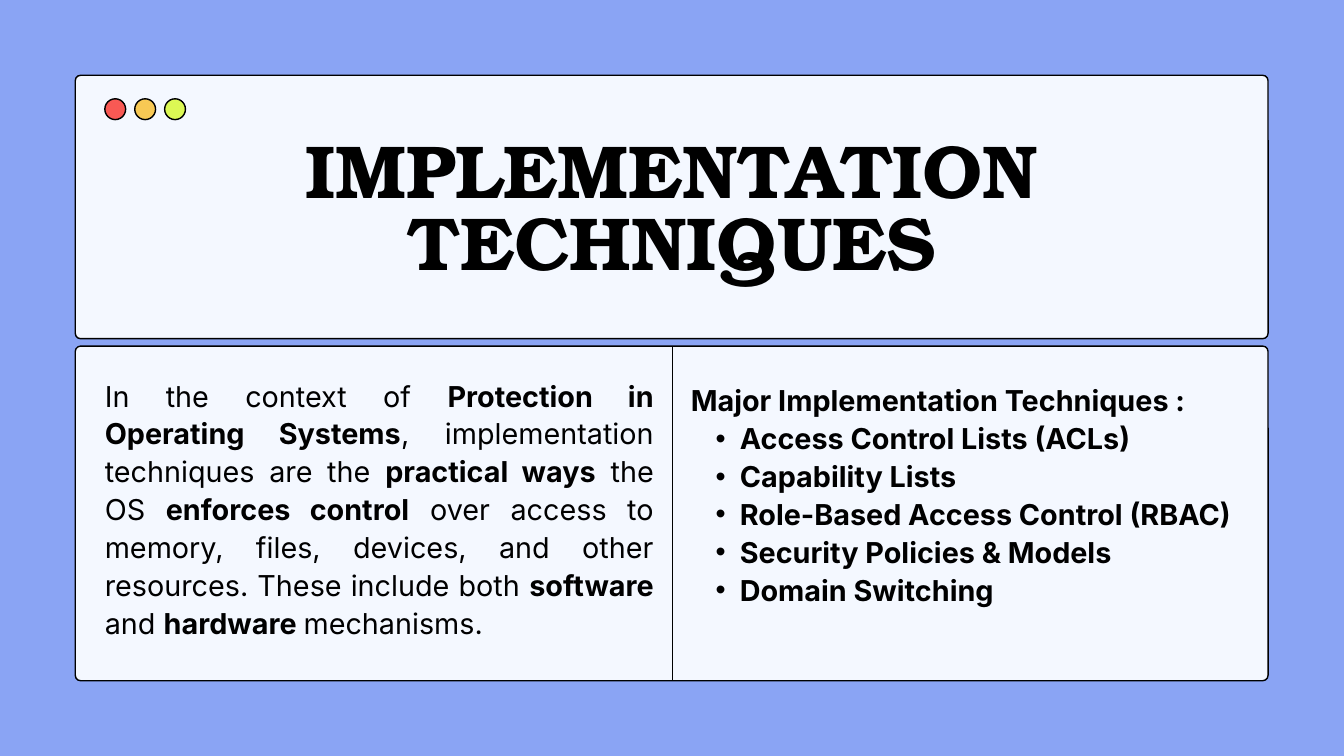
import pptx
import pptx.dml.color
import pptx.enum.shapes
import pptx.enum.text
import pptx.oxml.ns
import pptx.util
from lxml import etree
from pptx.util import Inches, Pt

ALIGN = pptx.enum.text.PP_ALIGN
SHAPE = pptx.enum.shapes.MSO_SHAPE
qn = pptx.oxml.ns.qn


def color(value):
    return pptx.dml.color.RGBColor.from_string(value)


def format_para(para, font, size, spacing, align):
    para.alignment = align
    para.line_spacing = Pt(spacing)
    para.space_before = para.space_after = Pt(0)
    for span in para.runs:
        span.font.name = font
        span.font.size = Pt(size)
        span.font.color.rgb = color("000000")


deck = pptx.Presentation()
deck.slide_width, deck.slide_height = Inches(20), Inches(11.25)
page = deck.slides.add_slide(deck.slide_layouts[5])
page.background.fill.solid()
page.background.fill.fore_color.rgb = color("8AA4F4")

# Window panels, then the three window buttons
outlines = [
    (SHAPE.ROUNDED_RECTANGLE, 1.12, 1.12, 17.75, 3.92, "F4F8FF"),
    (SHAPE.ROUNDED_RECTANGLE, 1.12, 5.15, 17.75, 4.98, "F4F8FF"),
]
for index, fill in enumerate(("F85954", "F8C954", "DCF854")):
    outlines.append((SHAPE.OVAL, 1.56 + index * 0.445, 1.47, 0.31, 0.31, fill))
for kind, left, top, width, height, fill in outlines:
    shape = page.shapes.add_shape(
        kind, Inches(left), Inches(top), Inches(width), Inches(height))
    shape.shadow.inherit = False
    shape.fill.solid()
    shape.fill.fore_color.rgb = color(fill)
    shape.line.color.rgb = color("000000")
    shape.line.width = Pt(1.5)
    if kind == SHAPE.ROUNDED_RECTANGLE:
        shape.adjustments[0] = 0.08 / height

# Divider between the two columns
divider = page.shapes.add_connector(
    pptx.enum.shapes.MSO_CONNECTOR.STRAIGHT,
    Inches(10.01), Inches(10.12), Inches(10.01), Inches(5.15))
divider.line.color.rgb = color("000000")
divider.line.width = Pt(1.5)
etree.SubElement(divider._element.spPr, qn("a:effectLst"))

# Text frames: the title is raised above the panels
title = page.shapes.title
page.shapes._spTree.append(title._element)
title.left, title.top = Inches(3.15), Inches(2.12)
title.width, title.height = Inches(13.7), Inches(2.43)
intro = page.shapes.add_textbox(Inches(1.56), Inches(5.58), Inches(8.17), Inches(3.93))
techniques = page.shapes.add_textbox(Inches(10.28), Inches(5.65), Inches(8.17), Inches(3.37))
for box in (title, intro, techniques):
    frame = box.text_frame
    frame.margin_left = frame.margin_right = frame.margin_top = frame.margin_bottom = 0
    frame.word_wrap = True
    frame.auto_size = pptx.enum.text.MSO_AUTO_SIZE.NONE
    frame.vertical_anchor = pptx.enum.text.MSO_ANCHOR.TOP

# Title
title.text_frame.text = "IMPLEMENTATION TECHNIQUES"
para = title.text_frame.paragraphs[0]
format_para(para, "TeX Gyre Bonum", 80.4, 76.4, ALIGN.CENTER)
para.runs[0].font.bold = True

# Introduction: every second span is bold
para = intro.text_frame.paragraphs[0]
spans = [
    "In the context of ", "Protection in Operating Systems",
    ", implementation techniques are the ", "practical ways",
    " the OS ", "enforces control",
    " over access to memory, files, devices, and other resources. These include both ",
    "software ", "and ", "hardware ", "mechanisms.",
]
for index, text in enumerate(spans):
    span = para.add_run()
    span.text = text
    span.font.bold = index % 2 == 1
format_para(para, "Inter", 30.8, 40.6, ALIGN.JUSTIFY)

# Techniques: a heading and its bullets
techniques.text_frame.text = "\n".join([
    "Major Implementation Techniques :",
    "Access Control Lists (ACLs)",
    "Capability Lists",
    "Role-Based Access Control (RBAC)",
    "Security Policies & Models",
    "Domain Switching",
])
for index, para in enumerate(techniques.text_frame.paragraphs):
    format_para(para, "Inter", 30.8, 40.6, ALIGN.JUSTIFY)
    para.runs[0].font.bold = True
    if index > 0:
        para.level = 1
        properties = para._p.get_or_add_pPr()
        properties.set("marL", str(Inches(0.73)))
        properties.set("indent", str(Inches(-0.36)))
        etree.SubElement(properties, qn("a:buFont"), typeface="Arial")
        etree.SubElement(properties, qn("a:buChar"), char="•")

deck.save("out.pptx")
